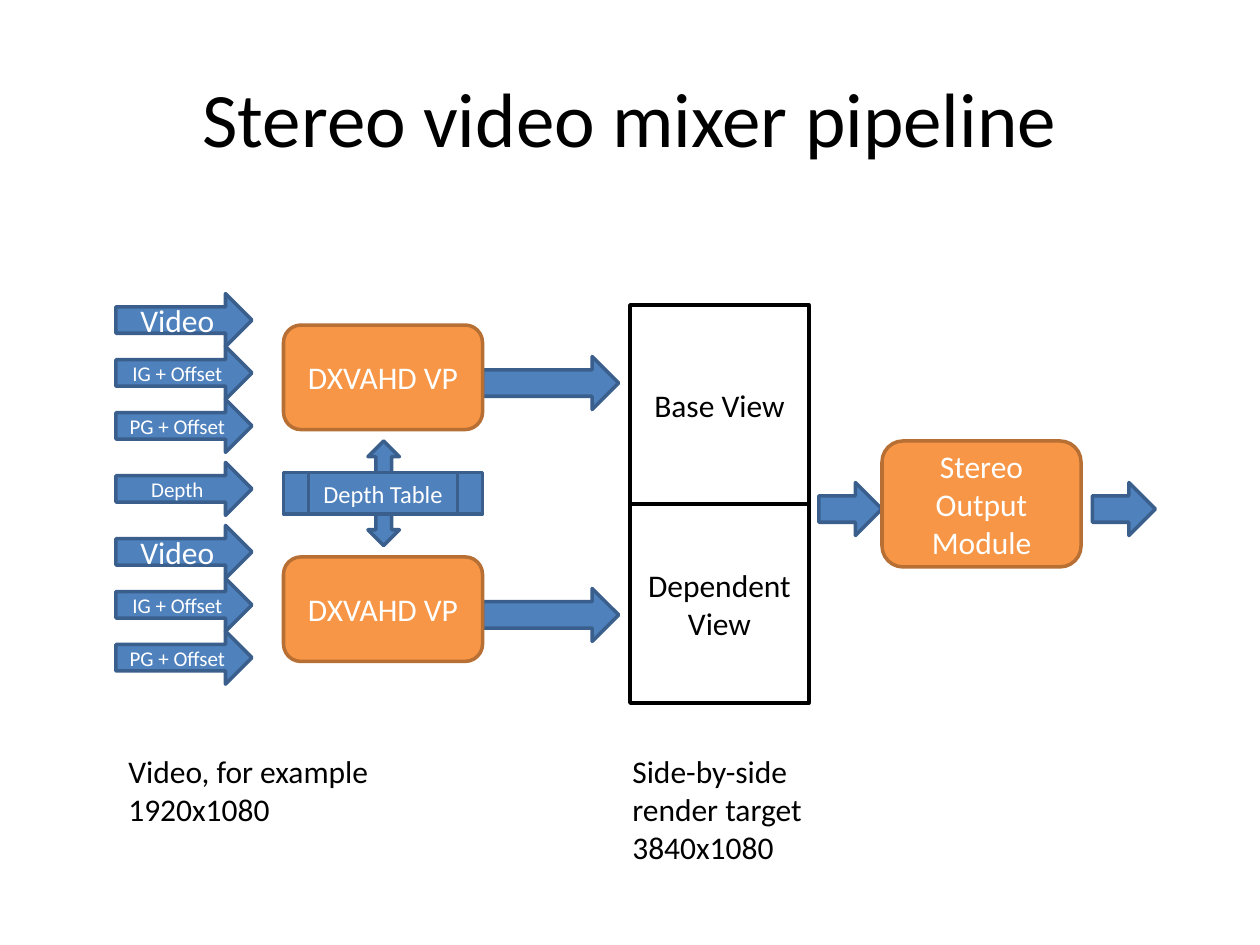
from pptx import Presentation
from pptx.dml.color import RGBColor
from pptx.enum.shapes import MSO_SHAPE as Preset
from pptx.enum.text import MSO_ANCHOR as Anchor, MSO_AUTO_SIZE as AutoSize, PP_ALIGN as Align
from pptx.util import Inches, Pt

FONT = "Calibri"
BLACK, WHITE = "000000", "FFFFFF"
BLUE, DARK_BLUE = "4F81BD", "3A5F8C"
ORANGE, DARK_ORANGE = "F79646", "B76F34"


def color(value):
    return RGBColor.from_string(value)


class PipelineSlide:
    def __init__(self, presentation):
        self.slide = presentation.slides.add_slide(presentation.slide_layouts[6])

    def fill_frame(self, frame, lines, size, text_color, align, anchor):
        frame.word_wrap = True
        frame.vertical_anchor = anchor
        for index, line in enumerate(lines):
            paragraph = frame.paragraphs[0] if index == 0 else frame.add_paragraph()
            paragraph.alignment = align
            run = paragraph.add_run()
            run.text = line
            run.font.name = FONT
            run.font.size = Pt(size)
            run.font.color.rgb = color(text_color)

    def block(self, preset, box, fill, line, lines=(), size=18, text_color=WHITE):
        shape = self.slide.shapes.add_shape(preset, *map(Inches, box))
        shape.shadow.inherit = False
        shape.fill.solid()
        shape.fill.fore_color.rgb = color(fill)
        shape.line.color.rgb = color(line)
        shape.line.width = Pt(2)
        self.fill_frame(shape.text_frame, lines, size, text_color, Align.CENTER, Anchor.MIDDLE)

    def arrow(self, left, top, width, lines=(), size=12):
        self.block(Preset.RIGHT_ARROW, (left, top, width, 0.42), BLUE, DARK_BLUE, lines, size)

    def module(self, left, top, height, label):
        self.block(Preset.ROUNDED_RECTANGLE, (left, top, 1.58, height), ORANGE, DARK_ORANGE, [label])

    def view(self, top, lines):
        self.block(Preset.RECTANGLE, (5, top, 1.42, 1.58), WHITE, BLACK, lines, text_color=BLACK)

    def text(self, box, lines, size=18, align=Align.LEFT, anchor=Anchor.TOP):
        shape = self.slide.shapes.add_textbox(*map(Inches, box))
        self.fill_frame(shape.text_frame, lines, size, BLACK, align, anchor)
        return shape

    def caption(self, box, lines):
        self.text(box, lines).text_frame.auto_size = AutoSize.SHAPE_TO_FIT_TEXT


def main():
    presentation = Presentation()
    presentation.slide_width = Inches(10)
    presentation.slide_height = Inches(7.5)
    page = PipelineSlide(presentation)

    page.text((0.5, 0.3, 9, 1.25), ["Stereo video mixer pipeline"], 44, Align.CENTER, Anchor.MIDDLE)

    inputs = [("Video", 18), ("IG + Offset", 12), ("PG + Offset", 12)]
    views = [(2.42, ["Base View"]), (4, ["Dependent", "View"])]
    for channel_top, (view_top, view_lines) in zip((2.33, 4.17), views):
        for row, (label, size) in enumerate(inputs):
            page.arrow(0.92, channel_top + row * 0.42, 1.08, [label], size)
        page.arrow(3.83, channel_top + 0.5, 1.08)
        page.module(2.25, channel_top + 0.25, 0.83, "DXVAHD VP")
        page.view(view_top, view_lines)

    page.arrow(0.92, 3.67, 1.08, ["Depth"])
    page.block(Preset.UP_DOWN_ARROW, (2.92, 3.5, 0.25, 0.83), BLUE, DARK_BLUE)
    page.block(Preset.FLOWCHART_PREDEFINED_PROCESS, (2.25, 3.75, 1.58, 0.33),
               BLUE, DARK_BLUE, ["Depth Table"], 14)

    for left in (6.5, 8.67):
        page.arrow(left, 3.83, 0.5)
    page.module(7, 3.5, 1, "Stereo Output Module")

    page.caption((0.92, 5.92, 2.25, 0.71), ["Video, for example 1920x1080"])
    page.caption((4.92, 5.92, 1.58, 1.01), ["Side-by-side render target", "3840x1080"])

    presentation.save("out.pptx")


if __name__ == "__main__":
    main()
